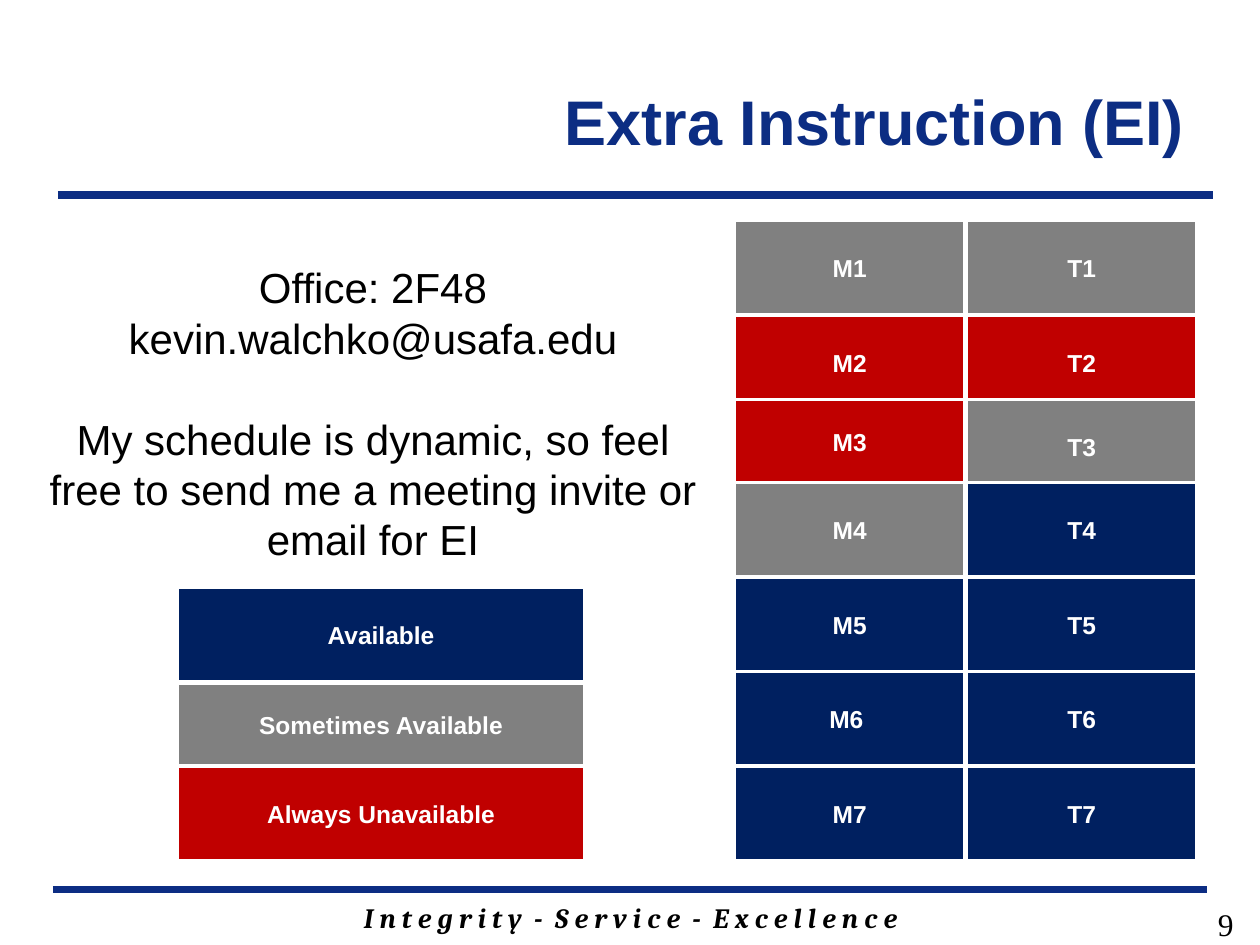
from pptx import Presentation
from pptx.dml.color import RGBColor
from pptx.enum.shapes import MSO_CONNECTOR, MSO_SHAPE
from pptx.enum.text import MSO_ANCHOR, PP_ALIGN
from pptx.oxml.ns import qn
from pptx.util import Inches, Pt
from lxml.etree import SubElement

BLUE = RGBColor(0x0C, 0x2D, 0x83)
NAVY = RGBColor(0x00, 0x20, 0x60)
GRAY = RGBColor(0x80, 0x80, 0x80)
RED = RGBColor(0xC0, 0x00, 0x00)
WHITE = RGBColor(0xFF, 0xFF, 0xFF)
BLACK = RGBColor(0x00, 0x00, 0x00)

TITLE = {"name": "Arial", "size": Pt(36), "bold": True}
BODY = {"name": "Arial", "size": Pt(24)}
CELL = {"name": "Arial", "size": Pt(14), "bold": True}
MOTTO = {"name": "Cambria", "size": Pt(16), "bold": True, "italic": True}
NUMBER = {"name": "Times New Roman", "size": Pt(18)}


def write(p, text, fmt, color, align=PP_ALIGN.CENTER):
    p.alignment = align
    r = p.add_run()
    r.text = text
    for key, value in fmt.items():
        setattr(r.font, key, value)
    r.font.color.rgb = color


def add_cell(text, fill, left, top, width, height):
    sp = s.shapes.add_shape(MSO_SHAPE.RECTANGLE, Inches(left), Inches(top),
                            Inches(width), Inches(height))
    sp.shadow.inherit = False
    sp.fill.solid()
    sp.fill.fore_color.rgb = fill
    sp.line.color.rgb = WHITE
    sp.line.width = Pt(2)
    tf = sp.text_frame
    tf.vertical_anchor = MSO_ANCHOR.MIDDLE
    write(tf.paragraphs[0], text, CELL, WHITE)


prs = Presentation()
prs.slide_width, prs.slide_height = Inches(10), Inches(7.5)
s = prs.slides.add_slide(prs.slide_layouts[5])

for left, right, y in [(0.42, 9.58, 7.06), (0.46, 9.63, 1.55)]:
    rule = s.shapes.add_connector(MSO_CONNECTOR.STRAIGHT, Inches(left), Inches(y),
                                  Inches(right), Inches(y))
    rule.line.color.rgb = BLUE
    rule.line.width = Pt(4.5)
    SubElement(rule.element.spPr, qn("a:effectLst"))

title = s.shapes.title
title.left, title.top = Inches(0.5), Inches(0.33)
title.width, title.height = Inches(9), Inches(1.25)
title.text_frame.vertical_anchor = MSO_ANCHOR.MIDDLE
write(title.text_frame.paragraphs[0], "Extra Instruction (EI)", TITLE, BLUE, PP_ALIGN.RIGHT)

row_tops = [1.75, 2.5, 3.17, 3.83, 4.58, 5.33, 6.08]
periods = [
    (5.83, ["M1", "M2", "M3", "M4", "M5", "M6 ", "M7"],
     [GRAY, RED, RED, GRAY, NAVY, NAVY, NAVY]),
    (7.67, ["T1", "T2", "T3", "T4", "T5", "T6", "T7"],
     [GRAY, RED, GRAY, NAVY, NAVY, NAVY, NAVY]),
]
for left, names, fills in periods:
    for name, fill, top in zip(names, fills, row_tops):
        add_cell(name, fill, left, top, 1.83, 0.67 if name == "M3" else 0.75)

legend = [("Available", NAVY, 4.66, 0.75),
          ("Sometimes Available", GRAY, 5.42, 0.67),
          ("Always Unavailable", RED, 6.08, 0.75)]
for text, fill, top, height in legend:
    add_cell(text, fill, 1.41, top, 3.23, height)

contact = ["Office: 2F48", "kevin.walchko@usafa.edu",
           "My schedule is dynamic, so feel free to send me a meeting invite or email for EI"]
text_boxes = [
    (0.25, 2.03, 5.42, 2.52, contact, BODY, PP_ALIGN.CENTER),
    (1.42, 7.1, 7.17, 0.37,
     ["I n t e g r i t y  -  S e r v i c e  -  E x c e l l e n c e"], MOTTO, PP_ALIGN.CENTER),
    (7.56, 7.13, 2.33, 0.37, ["9"], NUMBER, PP_ALIGN.RIGHT),
]
for left, top, width, height, lines, fmt, align in text_boxes:
    tf = s.shapes.add_textbox(Inches(left), Inches(top), Inches(width),
                              Inches(height)).text_frame
    tf.word_wrap = True
    for i, text in enumerate(lines):
        p = tf.add_paragraph() if i else tf.paragraphs[0]
        write(p, text, fmt, BLACK, align)
        if lines is contact:
            p.line_spacing = Pt(28.8)
            p.space_before = Pt(28.8 if i == 2 else 0)

prs.save("out.pptx")
